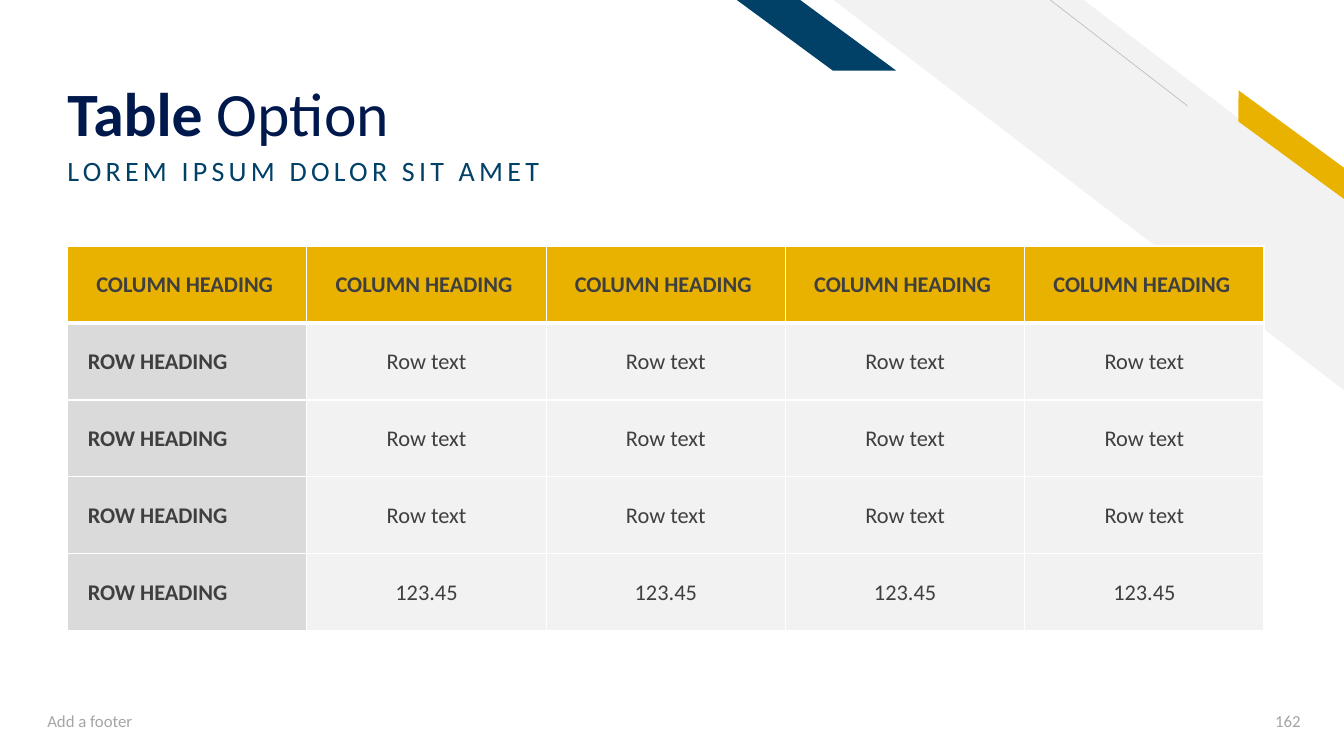
from dataclasses import dataclass
from typing import Any

from lxml import etree
from pptx import Presentation
from pptx import util as u
from pptx.dml.color import RGBColor
from pptx.enum import shapes, text
from pptx.oxml.ns import qn

NAVY = RGBColor(0x00, 0x19, 0x4C)
TEAL = RGBColor(0x01, 0x40, 0x67)
GOLD = RGBColor(0xEA, 0xB2, 0x00)
WHITE = RGBColor(0xFF, 0xFF, 0xFF)
PALE = RGBColor(0xF2, 0xF2, 0xF2)
SILVER = RGBColor(0xDA, 0xDA, 0xDA)
LINE_GREY = RGBColor(0xBF, 0xBF, 0xBF)
FOOTER_GREY = RGBColor(0xA5, 0xA5, 0xA5)
CHARCOAL = RGBColor(0x3F, 0x3F, 0x3F)

WIDTH, HEIGHT = u.Inches(13.33), u.Inches(7.5)
ALIGN, ANCHOR = text.PP_ALIGN, text.MSO_ANCHOR
COLUMNS = 5


@dataclass(frozen=True)
class Box:
    left: float
    top: float
    width: float
    height: float

    def lengths(self) -> tuple[int, int, int, int]:
        return across(self.left), down(self.top), across(self.width), down(self.height)


@dataclass(frozen=True)
class Band:
    box: Box
    preset: Any
    adjustment: float
    color: RGBColor
    rotation: float = 0


@dataclass(frozen=True)
class Style:
    size: float
    color: RGBColor
    bold: bool = False
    spacing: float = 0


@dataclass(frozen=True)
class Label:
    box: Box
    runs: tuple[tuple[str, Style], ...]
    frame_format: dict[str, Any]
    paragraph_format: dict[str, Any]


def across(percent: float) -> int:
    return round(WIDTH * percent / 100)


def down(percent: float) -> int:
    return round(HEIGHT * percent / 100)


def apply(target: Any, values: dict[str, Any]) -> None:
    for name, value in values.items():
        setattr(target, name, value)


def add_run(paragraph: Any, content: str, style: Style) -> None:
    run = paragraph.add_run()
    run.text = content
    apply(run.font, {"name": "Calibri", "size": u.Pt(style.size), "bold": style.bold})
    run.font.color.rgb = style.color
    if style.spacing:
        run.font._element.set("spc", str(round(style.spacing * 100)))


def draw_band(slide: Any, band: Band) -> None:
    shape = slide.shapes.add_shape(band.preset, *band.box.lengths())
    shape.adjustments[0] = band.adjustment
    shape.rotation = band.rotation
    shape.shadow.inherit = False
    shape.fill.solid()
    shape.fill.fore_color.rgb = band.color
    shape.line.fill.background()
    shape._element.spPr.find(qn("a:xfrm")).set("flipH", "1")


def draw_hairline(slide: Any) -> None:
    line = slide.shapes.add_connector(
        shapes.MSO_CONNECTOR.STRAIGHT, across(88.35), down(14), across(78.15), down(0))
    line.line.color.rgb = LINE_GREY
    line.line.width = u.Pt(0.5)
    etree.SubElement(line._element.spPr, qn("a:effectLst"))


def draw_label(slide: Any, label: Label) -> None:
    frame = slide.shapes.add_textbox(*label.box.lengths()).text_frame
    apply(frame, {"word_wrap": True} | label.frame_format)
    paragraph = frame.paragraphs[0]
    apply(paragraph, label.paragraph_format)
    for content, style in label.runs:
        add_run(paragraph, content, style)


def add_borders(cell: Any, widths: dict[str, float]) -> None:
    properties = cell._tc.get_or_add_tcPr()
    for index, (side, width) in enumerate(widths.items()):
        border = etree.Element(qn(f"a:{side}"), w=str(u.Pt(width)))
        fill = etree.SubElement(border, qn("a:solidFill"))
        etree.SubElement(fill, qn("a:srgbClr"), val=str(WHITE))
        properties.insert(index, border)


def draw_table(slide: Any, box: Box) -> None:
    body_texts = ["Row text"] * 3 + ["123.45"]
    rows = [["COLUMN HEADING "] * COLUMNS]
    rows += [["ROW HEADING"] + [entry] * (COLUMNS - 1) for entry in body_texts]
    left, top, width, height = box.lengths()
    table = slide.shapes.add_table(len(rows), COLUMNS, left, top, width, height).table
    for column in table.columns:
        column.width = width // COLUMNS
    for row_index, row in enumerate(rows):
        table.rows[row_index].height = height // len(rows)
        is_header = row_index == 0
        for column_index, content in enumerate(row):
            is_row_heading = column_index == 0 and not is_header
            cell = table.cell(row_index, column_index)
            apply(cell, {"vertical_anchor": ANCHOR.MIDDLE,
                         "margin_left": u.Inches(0.2 if is_row_heading else 0.1)})
            cell.fill.solid()
            cell.fill.fore_color.rgb = GOLD if is_header else SILVER if is_row_heading else PALE
            paragraph = cell.text_frame.paragraphs[0]
            paragraph.alignment = ALIGN.LEFT if is_row_heading else ALIGN.CENTER
            add_run(paragraph, content, Style(16, CHARCOAL, is_header or is_row_heading))
            add_borders(cell, {"lnL": 1, "lnR": 1, "lnT": 3 if row_index == 1 else 1,
                               "lnB": 3 if is_header else 1})


BACK_BAND = Band(Box(62.03, 0, 37.97, 51.6), shapes.MSO_SHAPE.DIAGONAL_STRIPE, 0.51, PALE)
FRONT_BANDS = (
    Band(Box(90.53, 17.47, 11.1, 3.33), shapes.MSO_SHAPE.PARALLELOGRAM, 0.72, GOLD, 36.3),
    Band(Box(54.83, 0, 11.85, 9.33), shapes.MSO_SHAPE.PARALLELOGRAM, 1.36, TEAL),
)
FOOTER_STYLE = Style(12, FOOTER_GREY)
LABELS = (
    Label(Box(4.28, 3.07, 68.33, 16.8),
          (("Table ", Style(44, NAVY, True)), ("Option", Style(44, NAVY))),
          {"vertical_anchor": ANCHOR.BOTTOM, "margin_bottom": 0}, {"line_spacing": 0.9}),
    Label(Box(4.28, 20.13, 60.45, 8.93),
          (("LOREM IPSUM DOLOR SIT AMET", Style(20, TEAL, spacing=3)),),
          {}, {"line_spacing": 0.9, "space_before": u.Pt(10)}),
    Label(Box(2.78, 92.67, 33.75, 5.33), (("Add a footer", FOOTER_STYLE),),
          {"vertical_anchor": ANCHOR.MIDDLE}, {}),
    Label(Box(91.43, 92.67, 6.08, 5.33), (("162", FOOTER_STYLE),),
          {"vertical_anchor": ANCHOR.MIDDLE}, {"alignment": ALIGN.RIGHT}),
)


def main() -> None:
    presentation = Presentation()
    apply(presentation, {"slide_width": WIDTH, "slide_height": HEIGHT})
    slide = presentation.slides.add_slide(presentation.slide_layouts[6])
    draw_band(slide, BACK_BAND)
    draw_hairline(slide)
    for band in FRONT_BANDS:
        draw_band(slide, band)
    for label in LABELS:
        draw_label(slide, label)
    draw_table(slide, Box(5.03, 32.53, 89.03, 50.93))
    presentation.save("out.pptx")


if __name__ == "__main__":
    main()
